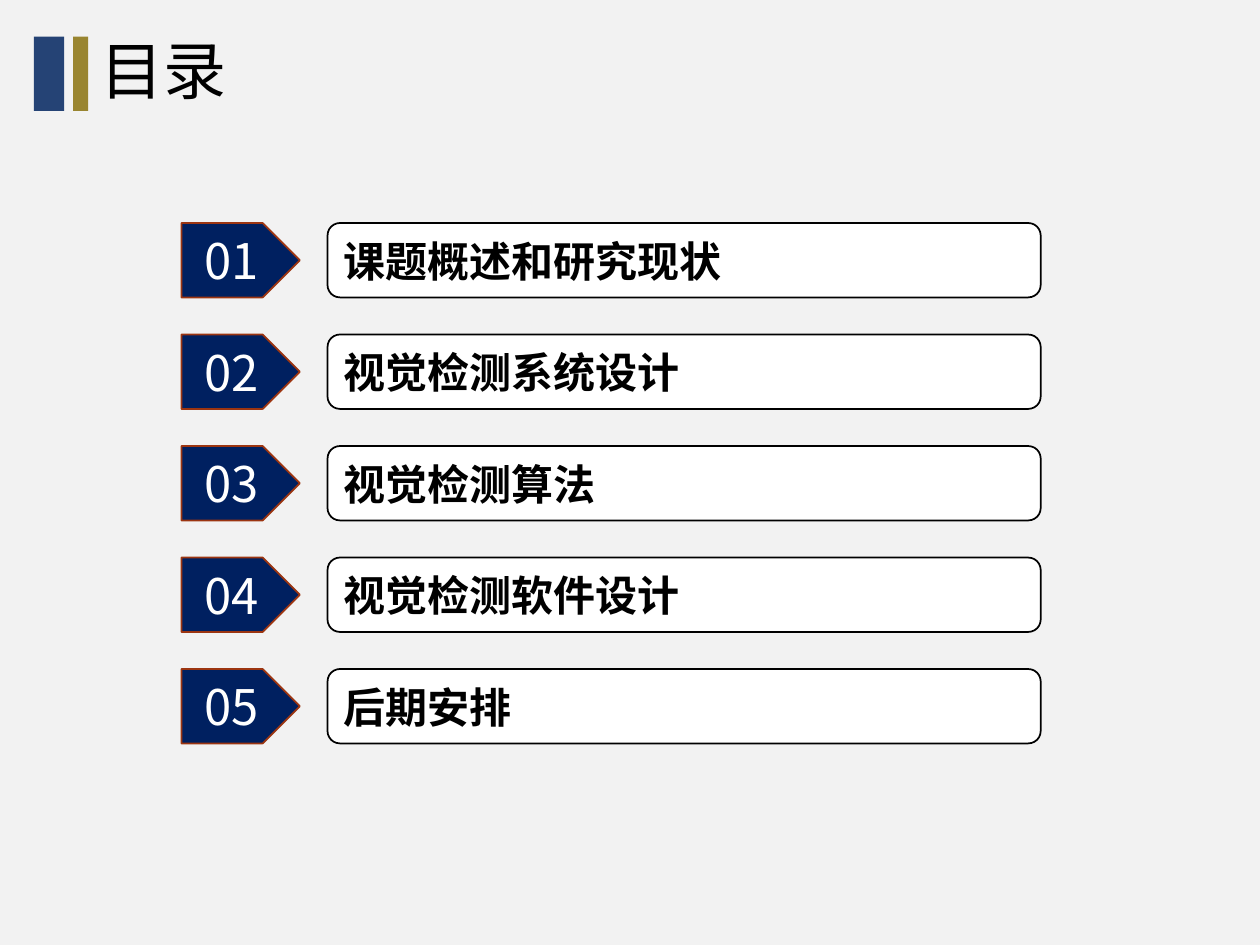
import dataclasses

import lxml.etree
import pptx
import pptx.dml.color
import pptx.enum.shapes
import pptx.enum.text
import pptx.oxml.ns
import pptx.util

SHAPES = pptx.enum.shapes.MSO_SHAPE
ALIGN = pptx.enum.text.PP_ALIGN
COLUMNS = 100
ROWS = 75
CHAPTERS = [
    "课题概述和研究现状",
    "视觉检测系统设计",
    "视觉检测算法",
    "视觉检测软件设计",
    "后期安排",
]


@dataclasses.dataclass(frozen=True)
class Theme:
    background: str = "F2F2F2"
    wide_bar: str = "254375"
    narrow_bar: str = "998530"
    tag: str = "002060"
    tag_line: str = "9C3511"
    card: str = "FFFFFF"
    ink: str = "000000"
    tag_ink: str = "FFFFFF"
    title_font: str = "Arial"
    chapter_font: str = "Calibri"
    chinese_font: str = "Noto Sans CJK SC"
    title_size: int = 36
    number_size: int = 28
    chapter_size: int = 24
    line_width: int = 1


@dataclasses.dataclass(frozen=True)
class Box:
    left: float
    top: float
    width: float
    height: float

    def columns(self, start, width):
        return Box(self.left + start, self.top, width, self.height)

    def lengths(self):
        column = pptx.util.Inches(10) / COLUMNS
        row = pptx.util.Inches(7.5) / ROWS
        return (
            round(self.left * column),
            round(self.top * row),
            round(self.width * column),
            round(self.height * row),
        )


THEME = Theme()


def color(value):
    return pptx.dml.color.RGBColor.from_string(value)


def add_block(slide, kind, box, fill, line=None):
    shape = slide.shapes.add_shape(kind, *box.lengths())
    shape.shadow.inherit = False
    shape.fill.solid()
    shape.fill.fore_color.rgb = color(fill)
    if line:
        shape.line.color.rgb = color(line)
        shape.line.width = pptx.util.Pt(THEME.line_width)
    else:
        shape.line.fill.background()
    return shape


def write(shape, text, font, size, ink, align=ALIGN.LEFT, bold=False):
    frame = shape.text_frame
    frame.word_wrap = True
    frame.vertical_anchor = pptx.enum.text.MSO_ANCHOR.MIDDLE
    paragraph = frame.paragraphs[0]
    paragraph.alignment = align
    run = paragraph.add_run()
    run.text = text
    run.font.name = font
    run.font.size = pptx.util.Pt(size)
    run.font.bold = bold
    run.font.color.rgb = color(ink)
    east_asian = lxml.etree.SubElement(run.font._element, pptx.oxml.ns.qn("a:ea"))
    east_asian.set("typeface", THEME.chinese_font)
    return paragraph


def add_header(slide, box, title):
    add_block(slide, SHAPES.RECTANGLE, box.columns(0, 2.4), THEME.wide_bar)
    add_block(slide, SHAPES.RECTANGLE, box.columns(3.1, 1.2), THEME.narrow_bar)
    title_box = box.columns(4.3, box.width - 4.3)
    shape = slide.shapes.add_textbox(*title_box.lengths())
    paragraph = write(shape, title, THEME.title_font, THEME.title_size, THEME.ink)
    paragraph.line_spacing = 0.9


def add_chapter(slide, box, number, name):
    tag = add_block(
        slide, SHAPES.PENTAGON, box.columns(0, 9.4), THEME.tag, THEME.tag_line
    )
    write(
        tag, f"{number:02}", THEME.chinese_font, THEME.number_size,
        THEME.tag_ink, align=ALIGN.CENTER,
    )
    card_box = box.columns(11.6, box.width - 11.6)
    card = add_block(
        slide, SHAPES.ROUNDED_RECTANGLE, card_box, THEME.card, THEME.ink
    )
    write(
        card, name, THEME.chapter_font, THEME.chapter_size, THEME.ink, bold=True
    )


def add_chapters(slide, box, names):
    gap_share = 0.5
    pitch_share = 1 + gap_share
    height = box.height / (len(names) * pitch_share - gap_share)
    for index, name in enumerate(names):
        top = box.top + index * height * pitch_share
        add_chapter(slide, Box(box.left, top, box.width, height), index + 1, name)


def add_contents_slide(presentation, box):
    slide = presentation.slides.add_slide(presentation.slide_layouts[6])
    slide.background.fill.solid()
    slide.background.fill.fore_color.rgb = color(THEME.background)
    header = Box(box.left + 2.7, box.top + 2.9, 41.4, 5.9)
    chapters = Box(box.left + 14.4, box.top + 17.7, 68.2, 41.3)
    add_header(slide, header, "目录")
    add_chapters(slide, chapters, CHAPTERS)


def main():
    presentation = pptx.Presentation()
    presentation.slide_width = pptx.util.Inches(10)
    presentation.slide_height = pptx.util.Inches(7.5)
    add_contents_slide(presentation, Box(0, 0, COLUMNS, ROWS))
    presentation.save("out.pptx")


if __name__ == "__main__":
    main()
